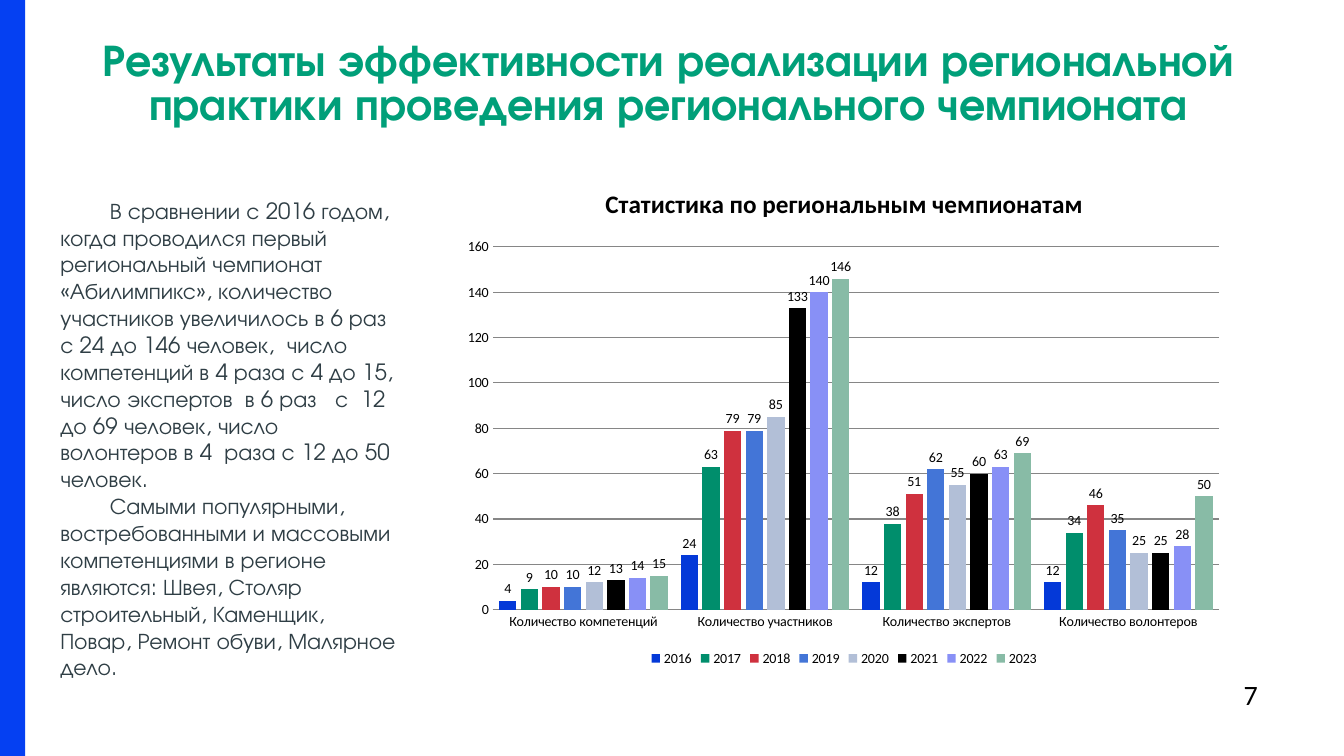
import pptx
import pptx.util
import pptx.dml.color
import pptx.chart.data
import pptx.enum.chart
import pptx.enum.shapes
import pptx.enum.text
import pptx.oxml

Pt = pptx.util.Pt
Align = pptx.enum.text.PP_ALIGN
Anchor = pptx.enum.text.MSO_ANCHOR


def rgb(value):
    return pptx.dml.color.RGBColor.from_string(value)


def add_run(paragraph, text, font, size, color, bold=False):
    run = paragraph.add_run()
    run.text = text
    run.font.name = font
    run.font.size = Pt(size)
    run.font.bold = bold
    run.font.color.rgb = rgb(color)


deck = pptx.Presentation()
deck.slide_width = Pt(960)
deck.slide_height = Pt(540)
slide = deck.slides.add_slide(deck.slide_layouts[6])

page_number = slide.shapes.add_textbox(Pt(881.3), Pt(480.2), Pt(38), Pt(31.7)).text_frame
add_run(page_number.paragraphs[0], "7", "Calibri", 20, "000000")

heading = slide.shapes.add_textbox(Pt(48.2), Pt(28.8), Pt(859), Pt(64)).text_frame
heading.word_wrap = True
heading.margin_left = heading.margin_right = heading.margin_top = heading.margin_bottom = 0
heading_line = heading.paragraphs[0]
heading_line.alignment = Align.CENTER
heading_line.line_spacing = Pt(32)
add_run(
    heading_line,
    "Результаты эффективности реализации региональной практики проведения регионального чемпионата",
    "TeX Gyre Adventor", 32, "009F79", bold=True,
)

side_band = slide.shapes.add_shape(
    pptx.enum.shapes.MSO_SHAPE.RECTANGLE, 0, 0, Pt(18), Pt(540))
side_band.shadow.inherit = False
side_band.fill.solid()
side_band.fill.fore_color.rgb = rgb("0540F2")
side_band.line.fill.background()

findings = [
    "В сравнении с 2016 годом, когда проводился первый региональный чемпионат «Абилимпикс», "
    "количество участников увеличилось в 6 раз с 24 до 146 человек,  число компетенций "
    "в 4 раза с 4 до 15, число экспертов  в 6 раз   с  12 до 69 человек, число волонтеров "
    "в 4  раза с 12 до 50 человек.",
    "Самыми популярными, востребованными и массовыми компетенциями в регионе являются: Швея, "
    "Столяр строительный, Каменщик,  Повар, Ремонт обуви, Малярное дело.",
]
commentary = slide.shapes.add_textbox(Pt(36), Pt(125.3), Pt(254.9), Pt(376)).text_frame
commentary.word_wrap = True
commentary.vertical_anchor = Anchor.MIDDLE
for index, finding in enumerate(findings):
    paragraph = commentary.paragraphs[0] if index == 0 else commentary.add_paragraph()
    properties = paragraph._p.get_or_add_pPr()
    properties.set("marL", "0")
    properties.set("indent", str(Pt(35.4)))
    add_run(paragraph, finding, "TeX Gyre Adventor", 16, "2F3E45")

years = [
    ("2016", (4, 24, 12, 12), "0439D8"),
    ("2017", (9, 63, 38, 34), "008E6C"),
    ("2018", (10, 79, 51, 46), "CF313E"),
    ("2019", (10, 79, 62, 35), "4375D7"),
    ("2020", (12, 85, 55, 25), "B2BFD7"),
    ("2021", (13, 133, 60, 25), "000000"),
    ("2022", (14, 140, 63, 28), "8890F6"),
    ("2023", (15, 146, 69, 50), "88BBA6"),
]
statistics = pptx.chart.data.CategoryChartData()
statistics.categories = [
    "Количество компетенций", "Количество участников",
    "Количество экспертов", "Количество волонтеров",
]
for year, counts, color in years:
    statistics.add_series(year, counts)

chart = slide.shapes.add_chart(
    pptx.enum.chart.XL_CHART_TYPE.COLUMN_CLUSTERED,
    Pt(324), Pt(118.8), Pt(558), Pt(360), statistics,
).chart
chart.font.name = "Calibri"
chart.font.size = Pt(10)
chart.font.color.rgb = rgb("000000")
chart.has_title = True
add_run(
    chart.chart_title.text_frame.paragraphs[0],
    "Статистика по региональным чемпионатам", "Calibri", 18, "000000", bold=True,
)
chart.has_legend = True
chart.legend.position = pptx.enum.chart.XL_LEGEND_POSITION.BOTTOM
chart.legend.include_in_layout = False

no_tick = pptx.enum.chart.XL_TICK_MARK.NONE
for axis in (chart.category_axis, chart.value_axis):
    axis.major_tick_mark = no_tick
    axis.minor_tick_mark = no_tick
chart.category_axis.format.line.color.rgb = rgb("868686")
counts_axis = chart.value_axis
counts_axis.minimum_scale = 0
counts_axis.maximum_scale = 160
counts_axis.major_unit = 20
counts_axis.format.line.fill.background()
counts_axis.major_gridlines.format.line.color.rgb = rgb("868686")
counts_axis.major_gridlines.format.line.width = Pt(0.75)

columns = chart.plots[0]
columns.gap_width = 75
columns.overlap = -25
columns.vary_by_categories = False
columns.has_data_labels = True
columns.data_labels.show_value = True
columns.data_labels.position = pptx.enum.chart.XL_LABEL_POSITION.OUTSIDE_END
for series, (year, counts, color) in zip(columns.series, years):
    series.invert_if_negative = False
    series.format.fill.solid()
    series.format.fill.fore_color.rgb = rgb(color)

plot_area = chart._chartSpace.chart.plotArea
for layout in plot_area.xpath("c:layout"):
    plot_area.remove(layout)
plot_area.insert(0, pptx.oxml.parse_xml(
    '<c:layout xmlns:c="http://schemas.openxmlformats.org/drawingml/2006/chart">'
    '<c:manualLayout><c:layoutTarget val="inner"/>'
    '<c:xMode val="edge"/><c:yMode val="edge"/>'
    '<c:x val="0.05"/><c:y val="0.16"/><c:w val="0.93"/><c:h val="0.72"/>'
    '</c:manualLayout></c:layout>'
))

deck.save("out.pptx")
